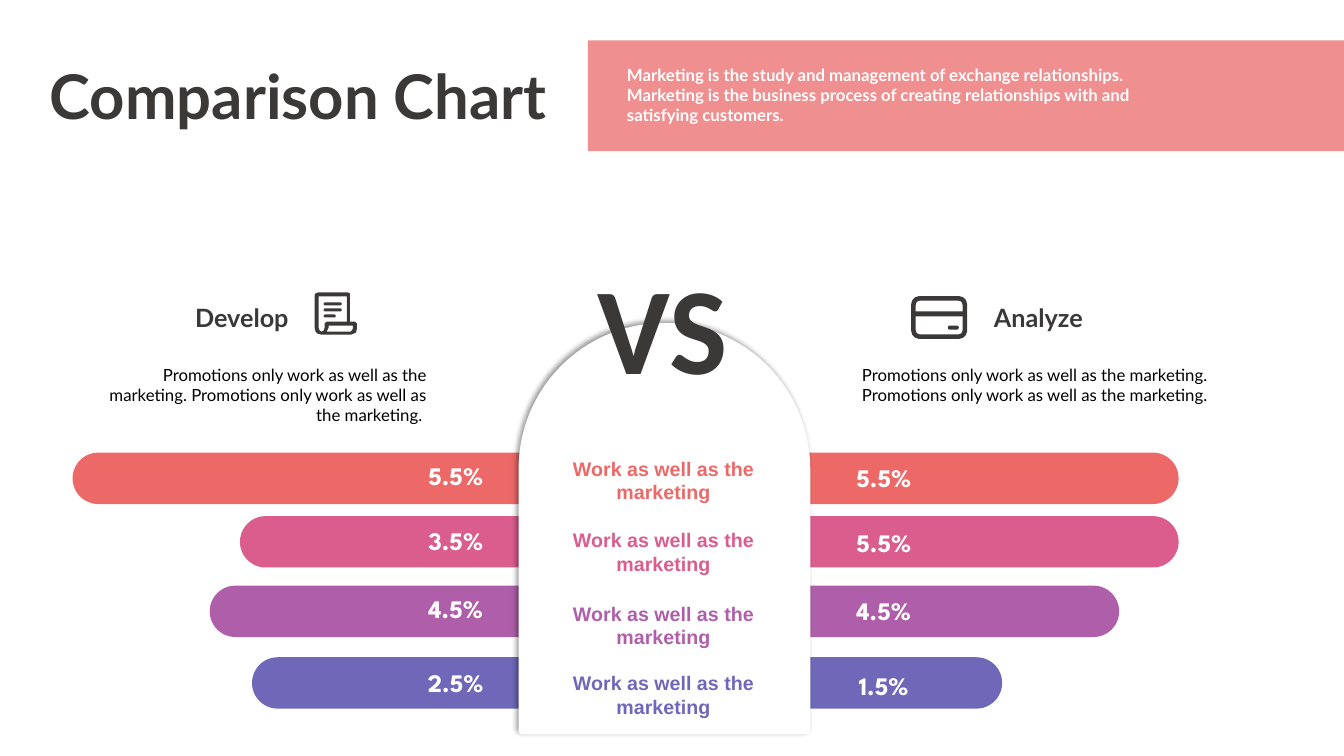
from lxml import etree
from pptx import Presentation, util as u
from pptx.dml.color import RGBColor
from pptx.enum import shapes, text
from pptx.oxml.ns import qn

COLORS = {
    "coral": "EC6968",
    "pink": "DA5D8D",
    "orchid": "AF5FAA",
    "indigo": "6F68B9",
    "dark": "3B3838",
    "black": "000000",
    "white": "FFFFFF",
}
KIND = shapes.MSO_SHAPE
LEFT, CENTER, RIGHT = text.PP_ALIGN.LEFT, text.PP_ALIGN.CENTER, text.PP_ALIGN.RIGHT
WIDE_INSETS = (0.24, 0.12)
PROMOTION = "Promotions only work as well as the marketing."

# color, bar left, bar top, bar width, label top, left value, its top, right value, its top
ROWS = [
    ("coral", 0.72, 4.49, 10.97, 4.41, "5.5%", 4.45, "5.5%", 4.47),
    ("pink", 2.38, 5.12, 9.31, 5.12, "3.5%", 5.09, "5.5%", 5.11),
    ("orchid", 2.08, 5.81, 9.02, 5.85, "4.5%", 5.77, "4.5%", 5.79),
    ("indigo", 2.5, 6.52, 7.44, 6.54, "2.5%", 6.5, "1.5%", 6.53),
]

SCROLL_OUTER = [
    (3.19, 3.32), (3.15, 3.31), (3.13, 3.29), (3.12, 3.25), (3.12, 2.93), (3.13, 2.91),
    (3.16, 2.9), (3.45, 2.9), (3.47, 2.91), (3.47, 3.19), (3.52, 3.19), (3.54, 3.21),
    (3.54, 3.26), (3.53, 3.3), (3.48, 3.32),
]
SCROLL_PAGE = [
    (3.16, 2.94), (3.16, 3.25), (3.17, 3.28), (3.19, 3.29), (3.21, 3.28), (3.22, 3.25),
    (3.22, 3.21), (3.24, 3.19), (3.44, 3.19), (3.44, 2.94),
]
SCROLL_ROLL = [(3.26, 3.23), (3.26, 3.25), (3.24, 3.29), (3.48, 3.29), (3.5, 3.26), (3.5, 3.23)]


def rgb(name):
    return RGBColor.from_string(COLORS[name])


def add_color(parent, name, alpha=100):
    """Append an a:srgbClr with the given opacity in percent."""
    color = etree.SubElement(parent, qn("a:srgbClr"), val=COLORS[name])
    etree.SubElement(color, qn("a:alpha"), val=str(alpha * 1000))


class SlideBuilder:
    def __init__(self, deck, font="Lato"):
        self.page = deck.slides.add_slide(deck.slide_layouts[6])
        self.font = font

    def paint(self, shape, color, line=None, line_width=0):
        shape.shadow.inherit = False
        if color:
            shape.fill.solid()
            shape.fill.fore_color.rgb = rgb(color)
        else:
            shape.fill.background()
        if line:
            shape.line.color.rgb = rgb(line)
            shape.line.width = u.Pt(line_width)
        else:
            shape.line.fill.background()
        return shape

    def shape(self, kind, left, top, width, height, color, adjust=(), **line):
        shape = self.page.shapes.add_shape(
            kind, u.Inches(left), u.Inches(top), u.Inches(width), u.Inches(height))
        for index, value in enumerate(adjust):
            shape.adjustments[index] = value
        return self.paint(shape, color, **line)

    def pill(self, left, top, width, height, color):
        return self.shape(KIND.ROUNDED_RECTANGLE, left, top, width, height, color, (0.5,))

    def outline(self, contours, color):
        """Draw one shape from closed contours; inner contours become holes."""
        contours = [[(u.Inches(x), u.Inches(y)) for x, y in contour] for contour in contours]
        builder = self.page.shapes.build_freeform(*contours[0][0])
        for index, contour in enumerate(contours):
            if index:
                builder.move_to(*contour[0])
            builder.add_line_segments(contour[1:], close=True)
        return self.paint(builder.convert_to_shape(), color)

    def text(self, words, left, top, width, height, size, color, align=LEFT,
             bold=True, font=None, insets=(0.1, 0.05), wrap=True):
        box = self.page.shapes.add_textbox(
            u.Inches(left), u.Inches(top), u.Inches(width), u.Inches(height))
        frame = box.text_frame
        frame.word_wrap = wrap
        frame.auto_size = text.MSO_AUTO_SIZE.SHAPE_TO_FIT_TEXT
        frame.margin_left = frame.margin_right = u.Inches(insets[0])
        frame.margin_top = frame.margin_bottom = u.Inches(insets[1])
        para = frame.paragraphs[0]
        para.alignment = align
        span = para.add_run()
        span.text = words
        span.font.name = font or self.font
        span.font.size = u.Pt(size)
        span.font.bold = bold
        span.font.color.rgb = rgb(color)
        return span

    def shadow(self, shape, alpha, blur, distance, angle):
        effects = shape.element.spPr.find(qn("a:effectLst"))
        shade = etree.SubElement(
            effects, qn("a:outerShdw"), blurRad=str(u.Pt(blur)), dist=str(u.Pt(distance)),
            dir=str(angle * 60000), algn="ctr", rotWithShape="0")
        add_color(shade, "black", alpha)

    def text_outline(self, span, color, width):
        line = etree.Element(qn("a:ln"), w=str(u.Pt(width)))
        add_color(etree.SubElement(line, qn("a:solidFill")), color)
        span.font._element.insert(0, line)


def draw_header(slide):
    banner = slide.shape(KIND.RECTANGLE, 5.83, 0.4, 7.51, 1.1, "coral")
    color = banner.element.spPr.find(qn("a:solidFill"))[0]
    etree.SubElement(color, qn("a:alpha"), val="74000")
    slide.text("Comparison Chart", 0.24, 0.53, 5.44, 0.84, 44, "dark", CENTER, wrap=False)
    slide.text(
        "Marketing is the study and management of exchange relationships. Marketing is the "
        "business process of creating relationships with and satisfying customers.",
        6.12, 0.59, 5.57, 0.71, 12, "white")


def draw_sides(slide):
    slide.text("Develop", 1.47, 2.95, 1.49, 0.4, 18, "dark", RIGHT)
    slide.text(f"{PROMOTION} {PROMOTION} ", 0.71, 3.57, 3.62, 0.5, 12, "black", RIGHT, bold=False)
    slide.text("Analyze", 9.76, 2.95, 1.13, 0.4, 18, "dark")
    slide.text(f"{PROMOTION} {PROMOTION}", 8.45, 3.57, 4.21, 0.5, 12, "black", bold=False)


def draw_icons(slide):
    slide.outline([SCROLL_OUTER, SCROLL_PAGE, SCROLL_ROLL], "dark")
    for index, width in enumerate((0.18, 0.18, 0.12)):
        slide.pill(3.21, 3 + 0.06 * index, width, 0.03, "dark")
    slide.shape(KIND.ROUNDED_RECTANGLE, 9.06, 2.96, 0.51, 0.38, None, (0.16,),
                line="dark", line_width=3.25)
    slide.shape(KIND.RECTANGLE, 9.06, 3.09, 0.49, 0.05, "dark")
    slide.pill(9.4, 3.23, 0.11, 0.04, "dark")


def draw_comparison(slide):
    for color, left, top, width, *_ in ROWS:
        slide.pill(left, top, width, 0.51, color)
    arch = slide.shape(KIND.ROUND_2_SAME_RECTANGLE, 5.18, 3.24, 2.82, 4.01, "white",
                       (0.5, 0), line="white", line_width=5.25)
    slide.shadow(arch, alpha=40, blur=4, distance=3, angle=225)
    versus = slide.text("VS", 5.63, 2.44, 1.88, 1.58, 88, "dark", CENTER, font="Calibri")
    slide.text_outline(versus, "white", 3.75)
    for color, _, _, _, label_top, left_value, left_top, right_value, right_top in ROWS:
        slide.text("Work as well as the marketing", 5.09, label_top, 2.98, 0.71, 14, color,
                   CENTER, font="Arial", insets=WIDE_INSETS)
        for value, left, top, width in ((left_value, 3.86, left_top, 1.32),
                                        (right_value, 8.02, right_top, 1.49)):
            slide.text(value, left, top, width, 0.54, 18, "white", CENTER,
                       font="League Spartan", insets=WIDE_INSETS)


def main():
    deck = Presentation()
    deck.slide_width, deck.slide_height = u.Inches(13.33), u.Inches(7.5)
    slide = SlideBuilder(deck)
    draw_header(slide)
    draw_sides(slide)
    draw_icons(slide)
    draw_comparison(slide)
    deck.save("out.pptx")


if __name__ == "__main__":
    main()
